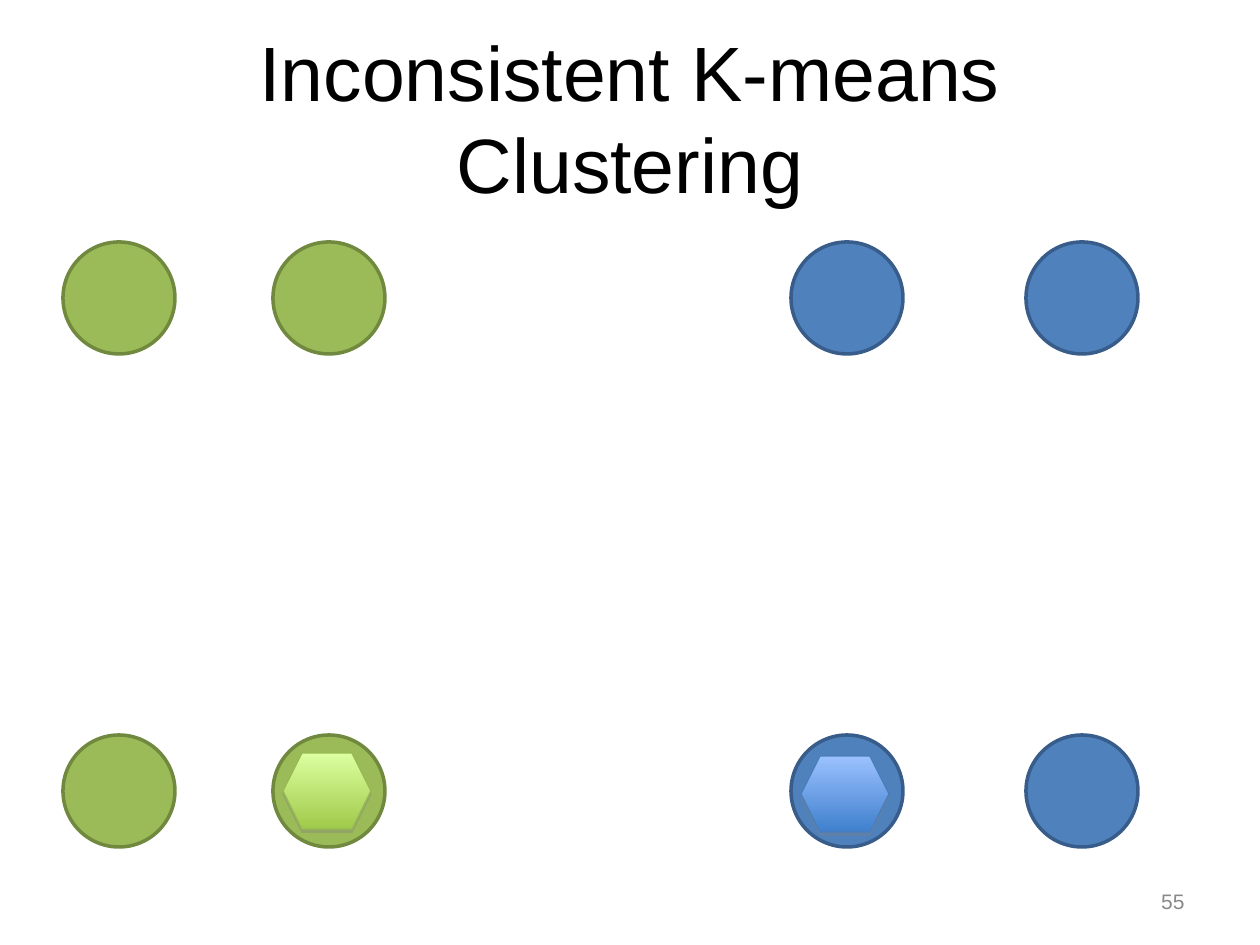
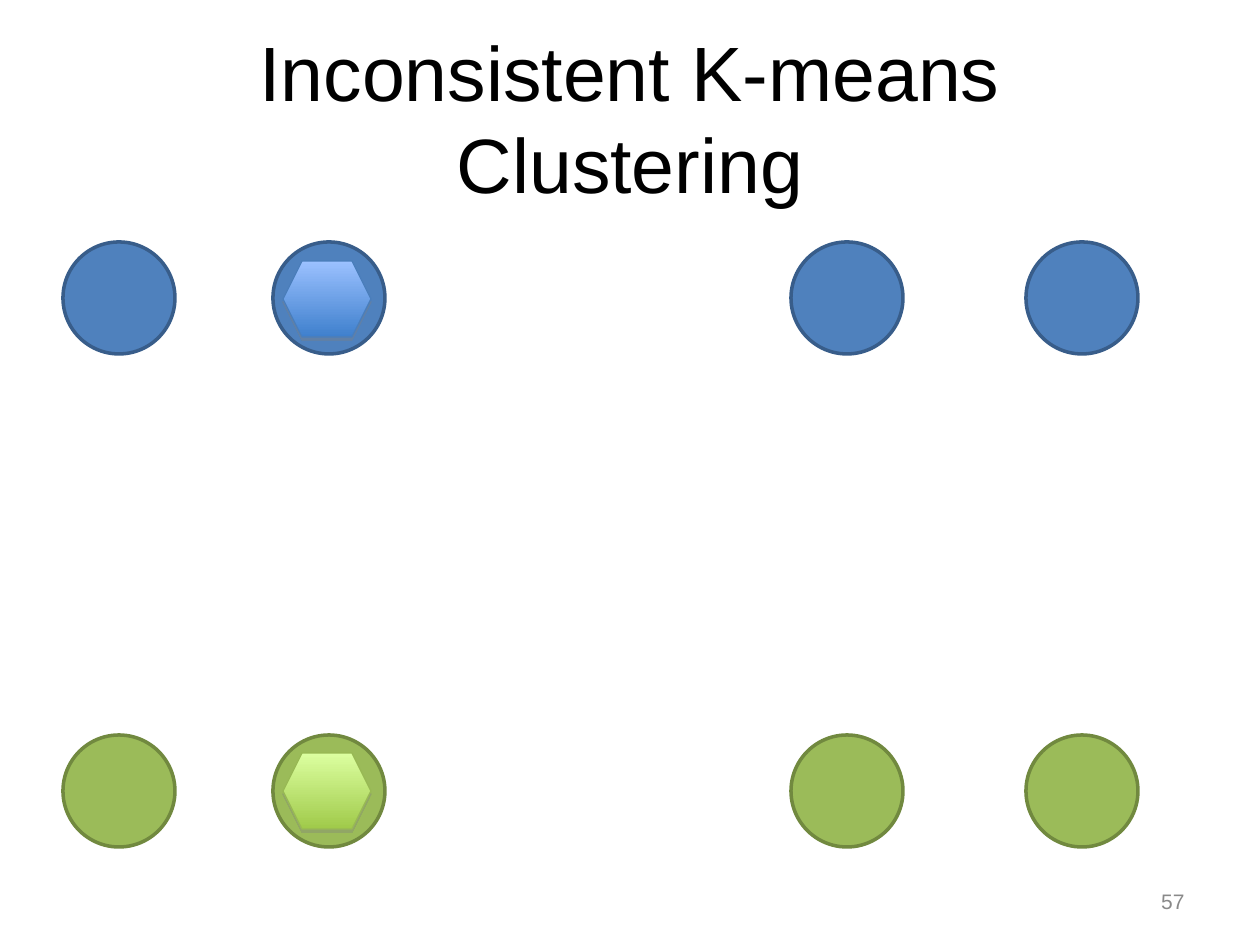
import pptx
import pptx.util
import pptx.dml.color
import pptx.enum.shapes
import pptx.enum.text
import pptx.oxml
import pptx.oxml.ns

COLORS = {
    "title": "000000",
    "number": "898989",
    "shadow": "808080",
}
# Each cluster: circle fill and line, then hexagon gradient and line
CLUSTERS = {
    "green": {"fill": "9BBB59", "edge": "71893F",
              "top": "DCFFA0", "base": "A0CA4A", "rim": "98B954"},
    "blue": {"fill": "4F81BD", "edge": "385D8A",
             "top": "9BC1FF", "base": "3F80CD", "rim": "4A7EBB"},
}
FONT = "Arial"
TITLE = "Inconsistent K-means Clustering"

# Point grid, in px
COLS = (63, 273, 791, 1026)
ROWS = (242, 735)
SIZE = 112

SHAPE = pptx.enum.shapes.MSO_SHAPE
ALIGN = pptx.enum.text.PP_ALIGN


def px(count):
    return pptx.util.Emu(round(count * 914400 / 126))


def rgb(code):
    return pptx.dml.color.RGBColor.from_string(code)


def style(frame, text, size, color, align):
    frame.word_wrap = True
    frame.auto_size = pptx.enum.text.MSO_AUTO_SIZE.NONE
    frame.vertical_anchor = pptx.enum.text.MSO_ANCHOR.MIDDLE
    frame.text = text
    line = frame.paragraphs[0]
    line.alignment = align
    line.font.name = FONT
    line.font.size = pptx.util.Pt(size)
    line.font.color.rgb = rgb(color)


def head(slide):
    title = slide.shapes.title
    title.left, title.top, title.width, title.height = map(
        px, (63, 38, 1134, 157))
    style(title.text_frame, TITLE, 44, COLORS["title"], ALIGN.CENTER)


def number(slide, value):
    box = slide.shapes.add_textbox(px(903), px(876), px(294), px(50))
    style(box.text_frame, str(value), 12, COLORS["number"], ALIGN.RIGHT)


def draw(slide, kind, x, y, wide, high, edge, weight):
    shape = slide.shapes.add_shape(kind, px(x), px(y), px(wide), px(high))
    shape.shadow.inherit = False
    shape.line.color.rgb = rgb(edge)
    shape.line.width = pptx.util.Pt(weight)
    return shape


def point(slide, col, row, name):
    tone = CLUSTERS[name]
    dot = draw(slide, SHAPE.OVAL, COLS[col], ROWS[row], SIZE, SIZE,
               tone["edge"], 2)
    dot.fill.solid()
    dot.fill.fore_color.rgb = rgb(tone["fill"])


def shade(shape):
    # Straight-down drop shadow
    effects = shape._element.spPr.find(pptx.oxml.ns.qn("a:effectLst"))
    effects.append(pptx.oxml.parse_xml(
        f'<a:outerShdw {pptx.oxml.ns.nsdecls("a")} blurRad="0" dist="23000" '
        'dir="5400000" rotWithShape="0">'
        f'<a:srgbClr val="{COLORS["shadow"]}"><a:alpha val="35000"/>'
        '</a:srgbClr></a:outerShdw>'))


def center(slide, col, row, name, drop):
    tone = CLUSTERS[name]
    hexa = draw(slide, SHAPE.HEXAGON, COLS[col] + 10, ROWS[row] + drop,
                88, 76, tone["rim"], 0.75)
    hexa.adjustments[0] = 0.25
    hexa.fill.gradient()
    hexa.fill.gradient_angle = 270
    for stop, key in zip(hexa.fill.gradient_stops, ("top", "base")):
        stop.color.rgb = rgb(tone[key])
    shade(hexa)


def build(deck, value, grid, centers):
    slide = deck.slides.add_slide(deck.slide_layouts[5])
    head(slide)
    number(slide, value)
    for row, names in enumerate(grid):
        for col, name in enumerate(names):
            point(slide, col, row, name)
    for spot in centers:
        center(slide, *spot)


def main():
    deck = pptx.Presentation()
    deck.slide_width, deck.slide_height = px(1260), px(945)
    green, blue = "green", "blue"

    # Split left and right
    build(deck, 55, [[green, green, blue, blue]] * 2,
          [(1, 1, green, 18), (2, 1, blue, 21)])
    # Split top and bottom
    build(deck, 57, [[blue] * 4, [green] * 4],
          [(1, 1, green, 18), (1, 0, blue, 19)])

    deck.save("out.pptx")


if __name__ == "__main__":
    main()
